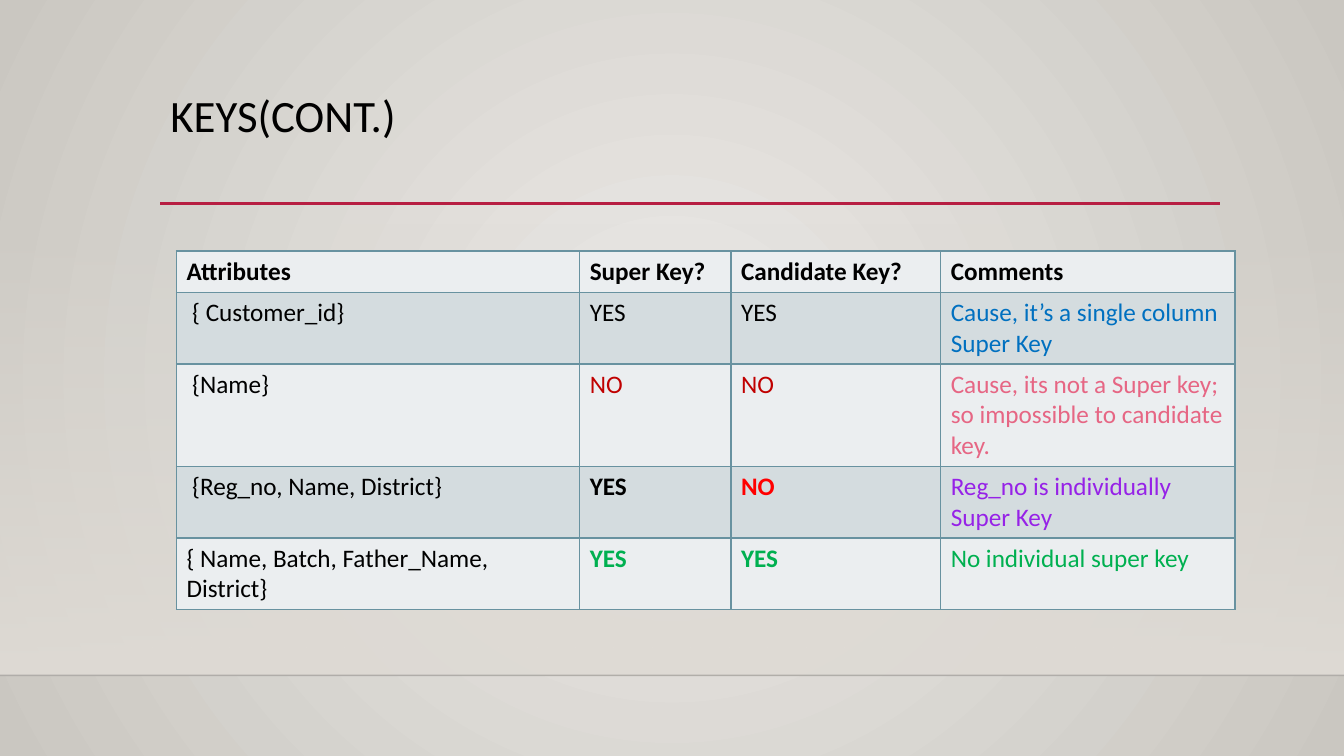
"""Build the Keys (cont.) slide: a table of super keys and candidate keys."""
from lxml import etree
from pptx import Presentation
from pptx import util as u
from pptx.dml.color import RGBColor
from pptx.enum import shapes, text
from pptx.oxml import ns


def color(value):
    return RGBColor.from_string(value)


def write(frame, content, size=18, fill="000000", bold=False, spacing=1.0):
    paragraph = frame.paragraphs[0]
    paragraph.alignment = text.PP_ALIGN.LEFT
    paragraph.line_spacing = spacing
    run = paragraph.add_run()
    run.text = content
    run.font.name = "Calibri"
    run.font.size = u.Pt(size)
    run.font.bold = bold
    run.font.color.rgb = color(fill)


presentation = Presentation()
presentation.slide_width = u.Inches(13.33)
presentation.slide_height = u.Inches(7.5)
slide = presentation.slides.add_slide(presentation.slide_layouts[5])

floor = slide.shapes.add_shape(
    shapes.MSO_SHAPE.RECTANGLE, 0, u.Inches(2.21), u.Inches(13.33), u.Inches(4.49))
floor.shadow.inherit = False
floor.line.fill.background()

for fill, stop_colors in [(slide.background.fill, ("ECEAE7", "CAC7C1")),
                          (floor.fill, ("DFDBD5", "DFDBD5"))]:
    fill.gradient()
    for stop, stop_color in zip(fill.gradient_stops, stop_colors):
        stop.color.rgb = color(stop_color)
floor.fill.gradient_angle = 270
clear_stop = next(floor.element.iter(ns.qn("a:srgbClr")))
etree.SubElement(clear_stop, ns.qn("a:alpha"), val="0")

direction = next(slide.element.iter(ns.qn("a:lin")))
radial = etree.Element(ns.qn("a:path"), {"path": "circle"})
etree.SubElement(radial, ns.qn("a:fillToRect"), dict.fromkeys("ltrb", "50000"))
direction.getparent().replace(direction, radial)

for left, right, top, line_color, width, opacity in [
        (0, 13.33, 6.7, "000001", 1, 20), (1.59, 12.1, 2.02, "B71E42", 2.5, 100)]:
    rule = slide.shapes.add_connector(
        shapes.MSO_CONNECTOR.STRAIGHT,
        u.Inches(left), u.Inches(top), u.Inches(right), u.Inches(top))
    rule.line.color.rgb = color(line_color)
    rule.line.width = u.Pt(width)
    if opacity < 100:
        line_fill = next(rule.element.iter(ns.qn("a:srgbClr")))
        etree.SubElement(line_fill, ns.qn("a:alpha"), val=str(opacity * 1000))
    etree.SubElement(rule.element.spPr, ns.qn("a:effectLst"))

title = slide.shapes.title
title.left, title.top = u.Inches(1.59), u.Inches(0.88)
title.width, title.height = u.Inches(10.5), u.Inches(1.15)
title.text_frame.auto_size = text.MSO_AUTO_SIZE.NONE
title.text_frame.vertical_anchor = text.MSO_ANCHOR.TOP
write(title.text_frame, "KEYS(CONT.)", size=32, spacing=0.9)

BLACK, DARK_RED, RED, GREEN = "000000", "C00000", "FF0000", "00B050"
rows = [
    [("Attributes", BLACK, True), ("Super Key?", BLACK, True),
     ("Candidate Key?", BLACK, True), ("Comments", BLACK, True)],
    [(" { Customer_id}", BLACK, False), ("YES", BLACK, False),
     ("YES", BLACK, False), ("Cause, it’s a single column Super Key", "0070C0", False)],
    [(" {Name}", BLACK, False), ("NO", DARK_RED, False), ("NO", DARK_RED, False),
     ("Cause, its not a Super key; so impossible to candidate key.", "E66684", False)],
    [(" {Reg_no, Name, District}", BLACK, False), ("YES", BLACK, True),
     ("NO", RED, True), ("Reg_no is individually Super Key", "9622E7", False)],
    [("{ Name, Batch, Father_Name, District}", BLACK, False), ("YES", GREEN, True),
     ("YES", GREEN, True), ("No individual super key", GREEN, False)],
]
column_widths = [4, 1.5, 2.08, 2.92]
table = slide.shapes.add_table(
    len(rows), len(column_widths), u.Inches(1.75), u.Inches(2.49),
    u.Inches(sum(column_widths)), u.Inches(0.41 * len(rows))).table
for column, width in zip(table.columns, column_widths):
    column.width = u.Inches(width)

for row_index, row in enumerate(rows):
    for column_index, (content, text_color, bold) in enumerate(row):
        cell = table.cell(row_index, column_index)
        write(cell.text_frame, content, fill=text_color, bold=bold)
        properties = cell._tc.get_or_add_tcPr()
        for side in "LRTB":
            border = etree.SubElement(properties, ns.qn(f"a:ln{side}"), w=str(u.Pt(1)))
            border_fill = etree.SubElement(border, ns.qn("a:solidFill"))
            etree.SubElement(border_fill, ns.qn("a:srgbClr"), val="6892A0")
        cell.fill.solid()
        cell.fill.fore_color.rgb = color(("EBEEF0", "D4DCDF")[row_index % 2])

presentation.save("out.pptx")
